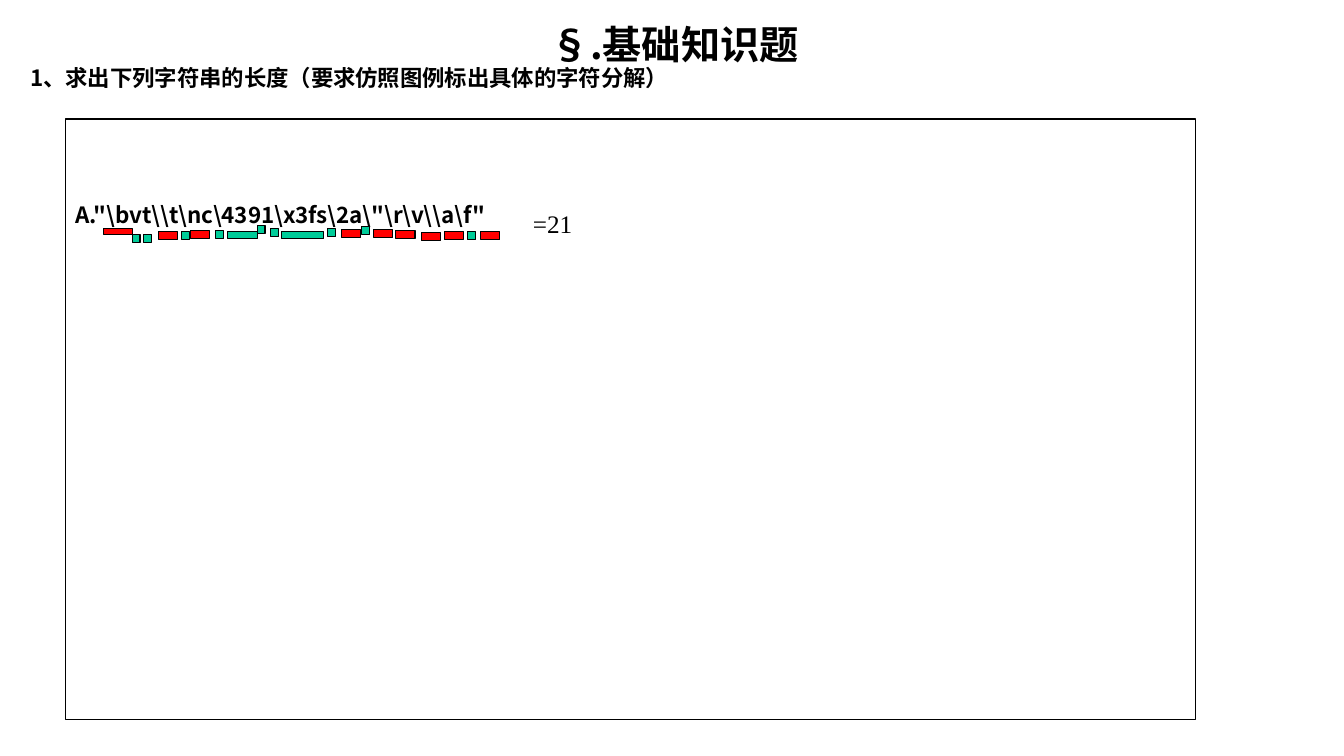
from lxml import etree
from pptx import Presentation
from pptx import util as u
from pptx.dml.color import RGBColor
from pptx.enum import shapes, text
from pptx.oxml import ns

BLACK = RGBColor(0x00, 0x00, 0x00)
RED = RGBColor(0xFF, 0x00, 0x00)
GREEN = RGBColor(0x00, 0xCC, 0x99)
SANS = "Noto Sans CJK SC"
SERIF = "Times New Roman"

CHAR = (GREEN, 0.2, 0.2)
ESCAPE = (RED, 0.48, 0.2)
FIRST_ESCAPE = (RED, 0.71, 0.15)
OCTAL = (GREEN, 0.74, 0.18)
HEX = (GREEN, 1.07, 0.18)

MARKS = [
    (2.62, 5.77, FIRST_ESCAPE),
    (3.33, 5.92, CHAR),
    (3.61, 5.92, CHAR),
    (3.99, 5.84, ESCAPE),
    (4.57, 5.84, CHAR),
    (4.8, 5.82, ESCAPE),
    (5.44, 5.82, CHAR),
    (5.74, 5.84, OCTAL),
    (6.48, 5.69, CHAR),
    (6.83, 5.77, CHAR),
    (7.09, 5.84, HEX),
    (8.26, 5.77, CHAR),
    (8.61, 5.79, ESCAPE),
    (9.12, 5.72, CHAR),
    (9.42, 5.79, ESCAPE),
    (9.98, 5.82, ESCAPE),
    (10.62, 5.87, ESCAPE),
    (11.2, 5.84, ESCAPE),
    (11.79, 5.84, CHAR),
    (12.12, 5.84, ESCAPE),
]


class Sheet:
    def __init__(self, slide):
        self.slide = slide
        self.line_width = u.Pt(0.75)
        self.sans = {"name": SANS, "bold": True}
        self.serif = {"name": SERIF, "bold": False}

    def frame(self, sp, top=0.13):
        tf = sp.text_frame
        style = {
            "word_wrap": True,
            "vertical_anchor": text.MSO_ANCHOR.TOP,
            "margin_left": u.Cm(0.25),
            "margin_right": u.Cm(0.25),
            "margin_top": u.Cm(top),
            "margin_bottom": u.Cm(0.13),
        }
        for key, value in style.items():
            setattr(tf, key, value)
        return tf

    def add_text(self, p, words, size, font, **layout):
        for key, value in {"alignment": text.PP_ALIGN.LEFT, **layout}.items():
            setattr(p, key, value)
        r = p.add_run()
        r.text = words
        for key, value in {**font, "size": u.Pt(size)}.items():
            setattr(r.font, key, value)
        r.font.color.rgb = BLACK
        ea = etree.SubElement(r.font._element, ns.qn("a:ea"))
        ea.set("typeface", font["name"])

    def text_box(self, x, y, w, h, top=0.13):
        sp = self.slide.shapes.add_textbox(u.Cm(x), u.Cm(y), u.Cm(w), u.Cm(h))
        return self.frame(sp, top)

    def rect(self, x, y, w, h, fill=None):
        sp = self.slide.shapes.add_shape(
            shapes.MSO_SHAPE.RECTANGLE, u.Cm(x), u.Cm(y), u.Cm(w), u.Cm(h))
        sp.shadow.inherit = False
        sp.line.color.rgb = BLACK
        sp.line.width = self.line_width
        if fill is None:
            sp.fill.background()
        else:
            sp.fill.solid()
            sp.fill.fore_color.rgb = fill
        return sp


def main():
    prs = Presentation()
    prs.slide_width, prs.slide_height = u.Cm(33.87), u.Cm(19.05)
    s = Sheet(prs.slides.add_slide(prs.slide_layouts[6]))

    tf = s.text_box(0.51, 0.46, 32.99, 18.01, top=0.27)
    s.add_text(tf.paragraphs[0], "§.基础知识题", 28, s.sans,
               alignment=text.PP_ALIGN.CENTER, line_spacing=0.8)
    s.add_text(tf.add_paragraph(), "1、求出下列字符串的长度（要求仿照图例标出具体的字符分解）",
               16, s.sans, line_spacing=0.8, space_before=u.Pt(2))

    tf = s.frame(s.rect(1.65, 3, 28.47, 15.14), top=2.06)
    s.add_text(tf.paragraphs[0], r'A."\bvt\\t\nc\4391\x3fs\2a\"\r\v\\a\f"', 16, s.sans)

    for x, y, (fill, w, h) in MARKS:
        s.rect(x, y, w, h, fill)

    tf = s.text_box(13.18, 5.11, 2.59, 1.02)
    s.add_text(tf.paragraphs[0], "=21", 18, s.serif)

    prs.save("out.pptx")


if __name__ == "__main__":
    main()
